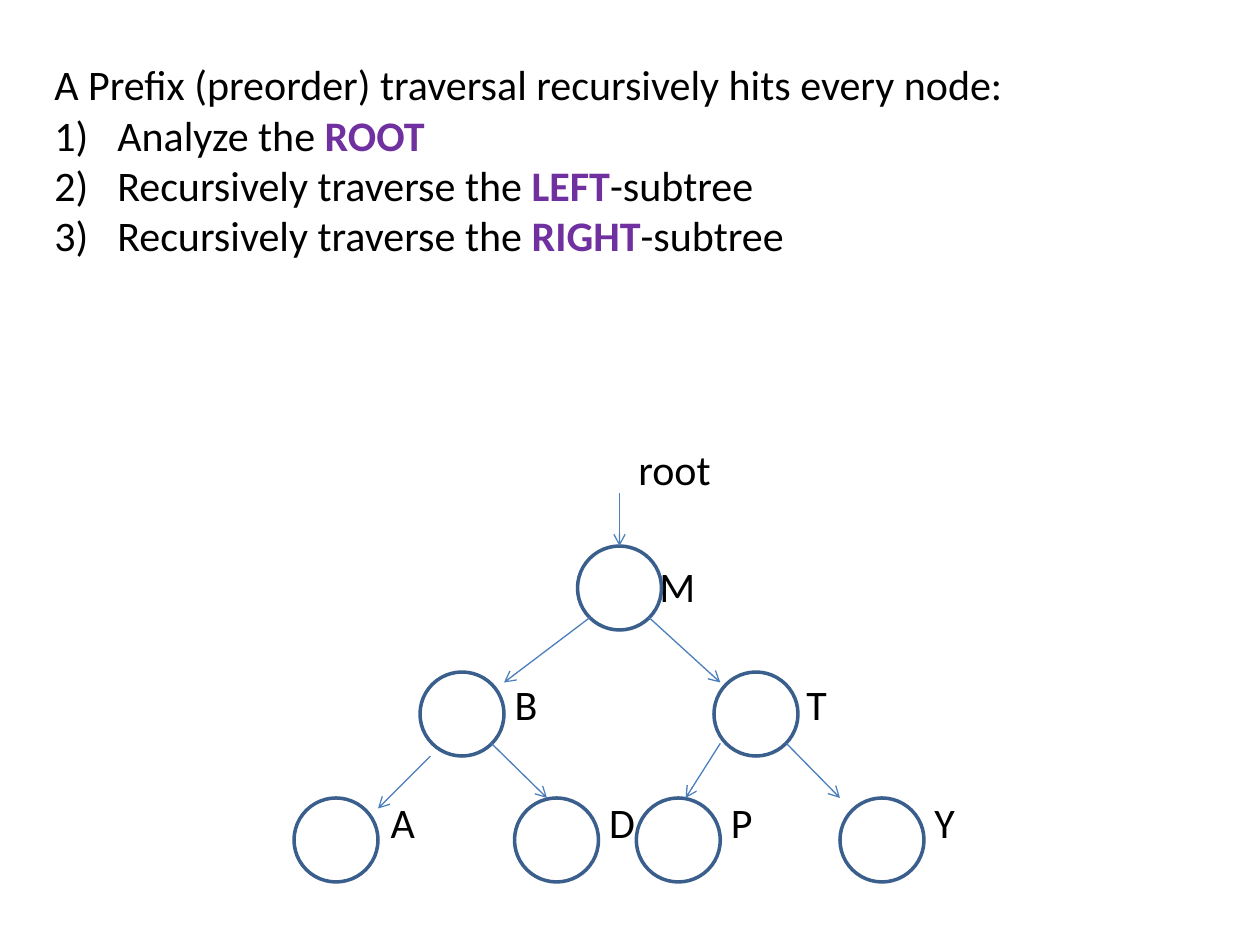
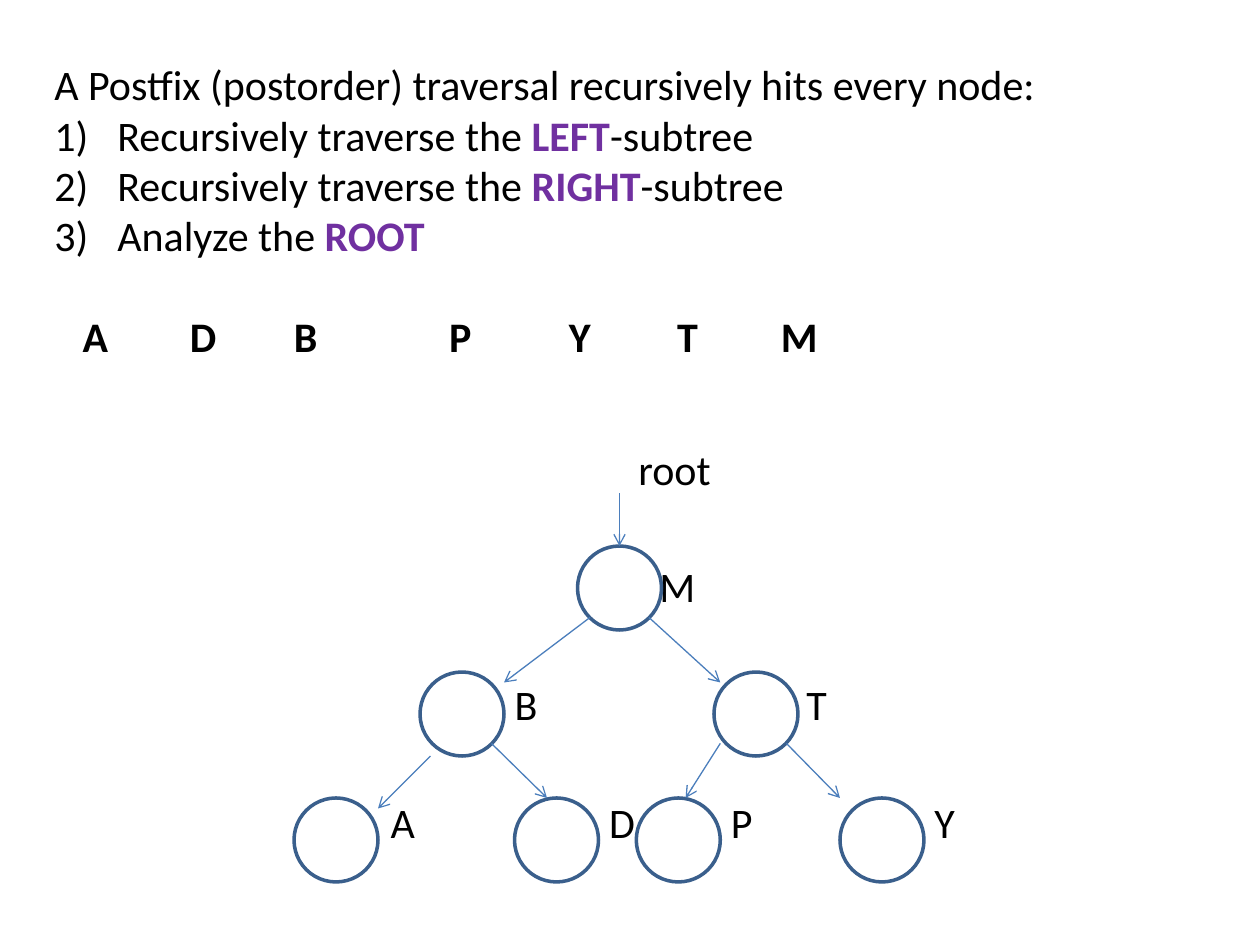
from lxml import etree
from pptx import Presentation
from pptx.dml.color import RGBColor
from pptx.enum.shapes import MSO_CONNECTOR, MSO_SHAPE
from pptx.enum.text import MSO_ANCHOR, MSO_AUTO_SIZE
from pptx.oxml.ns import qn
from pptx.util import Emu, Pt

OVAL = MSO_SHAPE.OVAL
STRAIGHT = MSO_CONNECTOR.STRAIGHT
TOP = MSO_ANCHOR.TOP
FIXED = MSO_AUTO_SIZE.NONE

PX = 7620  # EMU, 120 px to the inch
COLORS = {"text": "000000", "keyword": "7030A0", "node": "3A5F8C", "arrow": "4B7EBC"}
PLAIN = {"name": "Calibri", "size": Pt(24), "bold": False}
BOLD = {**PLAIN, "bold": True}

INSET = 12
BODY_LEFT, INTRO_LEFT = 60, 40
NODE_SIZE = 80
FIRST_ROW, ROW_GAP = 520, 120

# Each level of the tree: node letter, left of its circle, left of its label
LEVELS = [
    [("M", 550, 628)],
    [("B", 400, 490), ("T", 680, 768)],
    [("A", 280, 372), ("D", 490, 580), ("P", 606, 696), ("Y", 800, 890)],
]
ROOT_LABEL = [("root", 608)]
ROOT_ARROW = (590, 470, 590, 520)
BRANCHES = [
    (562, 588, 480, 650), (618, 588, 686, 650),
    (410, 720, 360, 770), (468, 708, 521, 760),
    (686, 708, 653, 760), (749, 708, 800, 760),
]

ROOT_STEP = ("Analyze the ", "ROOT", "")
LEFT_STEP = ("Recursively traverse the ", "LEFT", "-subtree")
RIGHT_STEP = ("Recursively traverse the ", "RIGHT", "-subtree")
POSTORDER = [("A", 79), ("D", 181), ("B", 280), ("P", 428),
             ("Y", 542), ("T", 645), ("M", 744)]


def px(*values):
    return [Emu(v * PX) for v in values]


def rgb(name):
    return RGBColor.from_string(COLORS[name])


def clear_body_indent(prs):
    """Drop the hanging indent of the master's body text, as it overrides tab stops."""
    style = prs.slide_master._element.find(".//" + qn("p:bodyStyle"))
    level = style.find(qn("a:lvl1pPr"))
    level.set("marL", "0")
    level.attrib.pop("indent", None)


def add_run(p, text, style=PLAIN, color="text"):
    r = p.add_run()
    r.text = text
    for name, value in style.items():
        setattr(r.font, name, value)
    r.font.color.rgb = rgb(color)


def next_paragraph(tf):
    """Return the empty first paragraph, or a new one after the others."""
    first = tf.paragraphs[0]
    return first if not first.runs else tf.add_paragraph()


def set_numbered(p):
    pPr = p._p.get_or_add_pPr()
    pPr.set("marL", str(60 * PX))
    pPr.set("indent", str(-60 * PX))
    etree.SubElement(pPr, qn("a:buAutoNum"), type="arabicParenR")


def add_tabbed_row(tf, items, text_left, space, style=PLAIN):
    """Write a row of words, each at its own tab stop."""
    p = next_paragraph(tf)
    p.space_before = Pt(space)
    pPr = p._p.get_or_add_pPr()
    etree.SubElement(pPr, qn("a:buNone"))
    tabs = etree.SubElement(pPr, qn("a:tabLst"))
    for _, x in items:
        etree.SubElement(tabs, qn("a:tab"), pos=str((x - text_left) * PX), algn="l")
    add_run(p, "".join("\t" + word for word, _ in items), style)


def add_node(s, x, y):
    node = s.shapes.add_shape(OVAL, *px(x, y, NODE_SIZE, NODE_SIZE))
    node.shadow.inherit = False
    node.fill.background()
    node.line.color.rgb = rgb("node")
    node.line.width = Pt(2)
    return node


def add_arrow(s, ends):
    arrow = s.shapes.add_connector(STRAIGHT, *px(*ends))
    arrow.line.color.rgb = rgb("arrow")
    arrow.line.width = Pt(0.75)
    etree.SubElement(arrow.line._get_or_add_ln(), qn("a:tailEnd"), type="arrow")
    etree.SubElement(arrow._element.spPr, qn("a:effectLst"))
    return arrow


def add_labels(s):
    body = s.placeholders[1]
    body.left, body.top, body.width, body.height = px(BODY_LEFT, 360, 1080, 540)
    tf = body.text_frame
    tf.auto_size = FIXED
    tf.vertical_anchor = TOP
    tf.margin_left, tf.margin_top = px(INSET, 62)
    add_tabbed_row(tf, ROOT_LABEL, BODY_LEFT + INSET, 0)
    for level in LEVELS:
        labels = [(letter, x) for letter, _, x in level]
        add_tabbed_row(tf, labels, BODY_LEFT + INSET, 38.5)


def add_tree(s):
    add_labels(s)
    nodes = [add_node(s, x, FIRST_ROW + row * ROW_GAP)
             for row, level in enumerate(LEVELS) for _, x, _ in level]
    add_arrow(s, ROOT_ARROW).end_connect(nodes[0], 0)
    for ends in BRANCHES:
        add_arrow(s, ends)


def add_intro(s, heading, steps, height):
    """Add the heading with its numbered steps and return the text frame."""
    box = s.shapes.add_textbox(*px(INTRO_LEFT, 50, 1140, height))
    tf = box.text_frame
    tf.word_wrap = True
    add_run(next_paragraph(tf), heading)
    for before, keyword, after in steps:
        p = next_paragraph(tf)
        set_numbered(p)
        add_run(p, before)
        add_run(p, keyword, BOLD, "keyword")
        if after:
            add_run(p, after)
    return tf


def add_traversal_slide(prs, heading, steps, height):
    s = prs.slides.add_slide(prs.slide_layouts[1])
    title = s.shapes.title._element
    title.getparent().remove(title)
    add_tree(s)
    return add_intro(s, heading, steps, height)


def main():
    prs = Presentation()
    prs.slide_width, prs.slide_height = px(1200, 900)
    clear_body_indent(prs)
    add_traversal_slide(
        prs, "A Prefix (preorder) traversal recursively hits every node:",
        [ROOT_STEP, LEFT_STEP, RIGHT_STEP], 206)
    tf = add_traversal_slide(
        prs, "A Postfix (postorder) traversal recursively hits every node:",
        [LEFT_STEP, RIGHT_STEP, ROOT_STEP], 400)
    add_tabbed_row(tf, POSTORDER, INTRO_LEFT + INSET, 28.5, BOLD)
    prs.save("out.pptx")


if __name__ == "__main__":
    main()
